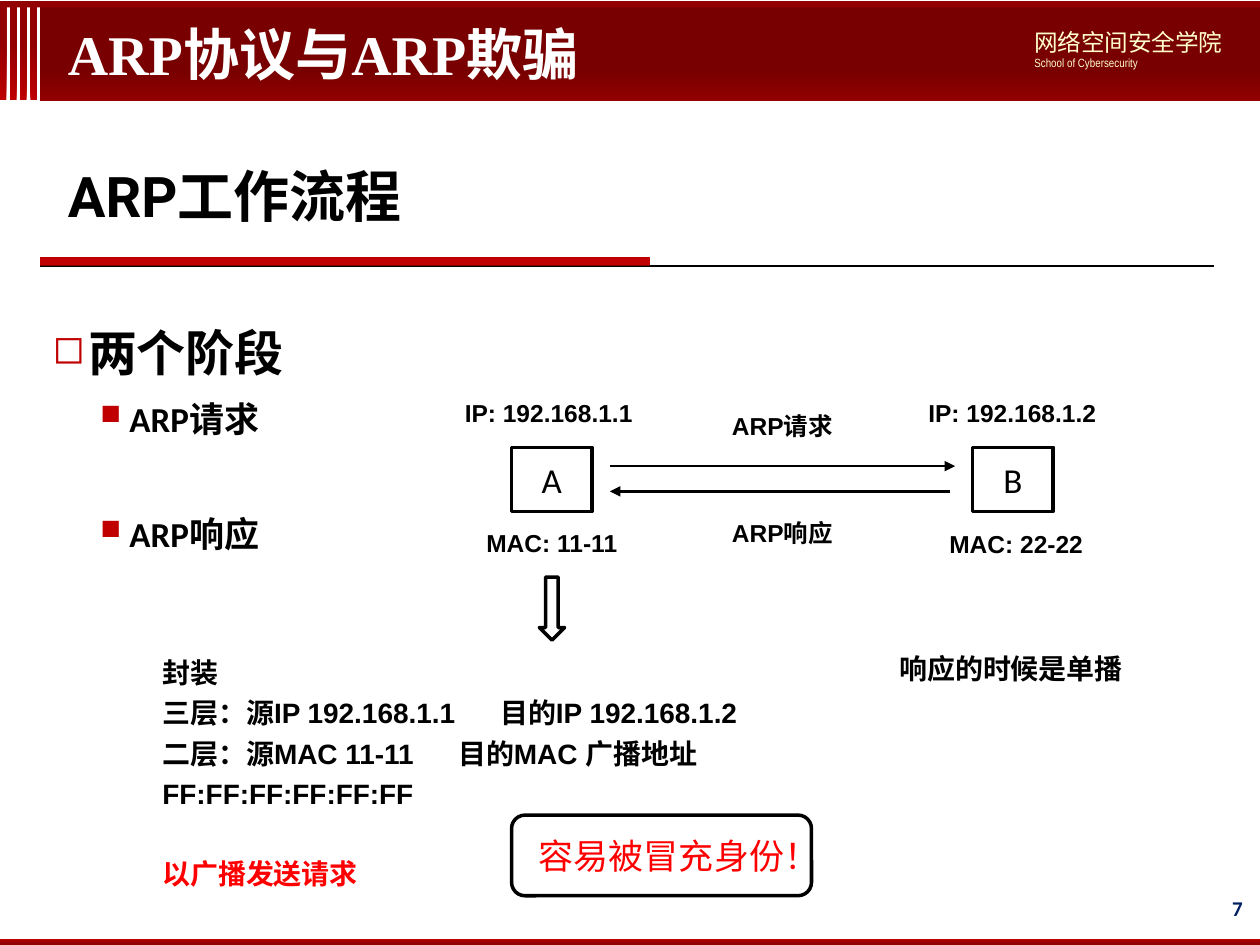
from lxml.etree import SubElement
from pptx import Presentation
from pptx.dml.color import RGBColor
from pptx.enum.shapes import MSO_CONNECTOR, MSO_SHAPE
from pptx.enum.text import MSO_ANCHOR, PP_ALIGN
from pptx.oxml.ns import qn
from pptx.util import Pt

BLACK = RGBColor(0x00, 0x00, 0x00)
WHITE = RGBColor(0xFF, 0xFF, 0xFF)
RED = RGBColor(0xFF, 0x00, 0x00)
CRIMSON = RGBColor(0xC0, 0x00, 0x00)
MAROON = RGBColor(0x92, 0x00, 0x00)
DARK_MAROON = RGBColor(0x78, 0x00, 0x00)
CREAM = RGBColor(0xFF, 0xFF, 0xCD)
NAVY = RGBColor(0x00, 0x20, 0x60)

CJK_FONT = "Noto Sans CJK SC"
LEFT, CENTER, RIGHT = PP_ALIGN.LEFT, PP_ALIGN.CENTER, PP_ALIGN.RIGHT


def add_bullet(paragraph, char, left, hanging):
    properties = paragraph._p.get_or_add_pPr()
    properties.set("marL", str(Pt(left)))
    properties.set("indent", str(-Pt(hanging)))
    color = SubElement(properties, qn("a:buClr"))
    SubElement(color, qn("a:srgbClr"), val=str(CRIMSON))
    SubElement(properties, qn("a:buSzPct"), val="80000")
    SubElement(properties, qn("a:buChar"), char=char)


def add_tab_stop(paragraph, position):
    tabs = SubElement(paragraph._p.get_or_add_pPr(), qn("a:tabLst"))
    SubElement(tabs, qn("a:tab"), pos=str(Pt(position)), algn="l")


def write(frame, text, size=14, font="Arial", color=BLACK, bold=True, align=LEFT,
          spacing=None, before=None, bullet=None, tab=None):
    """Write one paragraph, filling the empty first one before adding others."""
    first = frame.paragraphs[0]
    paragraph = frame.add_paragraph() if first.runs else first
    if bullet:
        add_bullet(paragraph, *bullet)
    if tab:
        add_tab_stop(paragraph, tab)
    paragraph.alignment = align
    if spacing:
        paragraph.line_spacing = spacing
    if before:
        paragraph.space_before = Pt(before)
    run = paragraph.add_run()
    run.text = text
    run.font.size = Pt(size)
    run.font.name = font
    run.font.bold = bold
    run.font.color.rgb = color
    SubElement(run.font._element, qn("a:ea"), typeface=CJK_FONT)


class SlideBuilder:
    line_width = 2
    connector_width = 1.5

    def __init__(self, slide):
        self.slide = slide

    def text_box(self, left, top, width, height, anchor=MSO_ANCHOR.TOP):
        box = self.slide.shapes.add_textbox(Pt(left), Pt(top), Pt(width), Pt(height))
        frame = box.text_frame
        frame.word_wrap = True
        frame.vertical_anchor = anchor
        return frame

    def shape(self, kind, left, top, width, height):
        shape = self.slide.shapes.add_shape(
            kind, Pt(left), Pt(top), Pt(width), Pt(height))
        shape.shadow.inherit = False
        return shape

    def bar(self, left, top, width, height, color):
        bar = self.shape(MSO_SHAPE.RECTANGLE, left, top, width, height)
        bar.fill.solid()
        bar.fill.fore_color.rgb = color
        bar.line.fill.background()

    def gradient_bar(self, left, top, width, height, stops, angle):
        """Angle is counter-clockwise; stops are (position, color) pairs."""
        bar = self.shape(MSO_SHAPE.RECTANGLE, left, top, width, height)
        bar.fill.gradient()
        bar.fill.gradient_angle = angle
        for stop, (position, color) in zip(bar.fill.gradient_stops, stops):
            stop.position = position
            stop.color.rgb = color
        bar.line.fill.background()

    def outline(self, kind, left, top, width, height):
        shape = self.shape(kind, left, top, width, height)
        shape.fill.background()
        shape.line.color.rgb = BLACK
        shape.line.width = Pt(self.line_width)
        shape.text_frame.word_wrap = True
        shape.text_frame.vertical_anchor = MSO_ANCHOR.MIDDLE
        return shape.text_frame

    def connector(self, start_x, end_x, y, arrow=False):
        connector = self.slide.shapes.add_connector(
            MSO_CONNECTOR.STRAIGHT, Pt(start_x), Pt(y), Pt(end_x), Pt(y))
        connector.line.color.rgb = BLACK
        connector.line.width = Pt(self.connector_width)
        if arrow:
            SubElement(connector.line._get_or_add_ln(), qn("a:tailEnd"), type="triangle")
        SubElement(connector._element.spPr, qn("a:effectLst"))


def add_frame(builder):
    for index in range(4):
        builder.gradient_bar(index * 5.76, 3.6, 3.6, 53.5,
                             [(0, CRIMSON), (0.62, MAROON)], 45)
    builder.gradient_bar(23, 4, 697, 53.5, [(0, MAROON), (0.32, DARK_MAROON)], 90)
    builder.gradient_bar(0, 536.4, 720, 3.6, [(0.1, CRIMSON), (0.54, MAROON)], 270)
    builder.bar(0, 0.7, 720, 3.6, MAROON)

    title = builder.text_box(31.7, 3.6, 487.4, 53.3, MSO_ANCHOR.MIDDLE)
    write(title, "ARP协议与ARP欺骗", size=32, font="Times New Roman", color=WHITE)
    school = builder.text_box(584, 12.2, 130.3, 31.7)
    write(school, "网络空间安全学院", size=13.5, font=CJK_FONT, color=CREAM, bold=False)
    write(school, "School of Cybersecurity", size=6.8, font="Arial Narrow",
          color=CREAM, bold=False)
    number = builder.text_box(549.4, 504.7, 167.8, 28.8, MSO_ANCHOR.MIDDLE)
    write(number, "7", size=12, font="Calibri", color=NAVY, align=RIGHT)

    subtitle = builder.text_box(31.7, 88.6, 661.7, 54)
    write(subtitle, "ARP工作流程", size=32, font="Roboto")
    builder.connector(23, 694, 152)
    builder.bar(23, 146.9, 348.5, 5, CRIMSON)


def add_stages(builder):
    stages = builder.text_box(23, 174.2, 670.3, 330.5)
    write(stages, "两个阶段", size=28, font="Calibri", spacing=1.2,
          bullet=("◻", 20.2, 20.2))
    for text, before in (("ARP请求", 4), ("ARP响应", 37)):
        write(stages, text, size=20, font="Calibri", spacing=1.2, before=before,
              bullet=("■", 43.9, 16.6))


def add_exchange(builder):
    for name, left in (("A", 292.3), ("B", 555.8)):
        host = builder.outline(MSO_SHAPE.RECTANGLE, left, 255.6, 46.1, 36.7)
        write(host, name, size=20, font="Calibri", bold=False, align=CENTER)

    labels = [
        ("IP: 192.168.1.1", 258.5, 223.9, 113.8, LEFT),
        ("IP: 192.168.1.2", 523.4, 223.9, 113.8, LEFT),
        ("MAC: 11-11", 270.7, 298.1, 89.3, CENTER),
        ("MAC: 22-22", 535, 298.8, 91.4, CENTER),
        ("ARP请求", 402.5, 231.1, 89.3, CENTER),
        ("ARP响应", 402.5, 292.3, 89.3, CENTER),
    ]
    for text, left, top, width, align in labels:
        write(builder.text_box(left, top, width, 24.5), text, align=align)

    builder.connector(348.5, 545.8, 266.4, arrow=True)
    builder.connector(542.9, 348.5, 280.8, arrow=True)


def add_notes(builder):
    packet = builder.text_box(85.7, 367.2, 464.4, 121)
    write(packet, "封装", size=16, spacing=1.2)
    write(packet, "三层：源IP 192.168.1.1\t目的IP 192.168.1.2", size=16, spacing=1.2,
          tab=193)
    write(packet, "二层：源MAC 11-11\t目的MAC 广播地址 FF:FF:FF:FF:FF:FF", size=16,
          spacing=1.2, tab=169)
    write(packet, "以广播发送请求", size=16, color=RED, spacing=1.2, before=23)

    warning = builder.outline(MSO_SHAPE.ROUNDED_RECTANGLE, 292.3, 465.8, 171.4, 46.1)
    write(warning, "容易被冒充身份！", size=20, font=CJK_FONT, color=RED, bold=False,
          align=CENTER)
    builder.outline(MSO_SHAPE.DOWN_ARROW, 308.2, 329.8, 14.4, 36)
    reply = builder.text_box(506.9, 365, 144, 28)
    write(reply, "响应的时候是单播", size=16, spacing=1.2)


def main():
    presentation = Presentation()
    presentation.slide_width, presentation.slide_height = Pt(720), Pt(540)
    builder = SlideBuilder(presentation.slides.add_slide(presentation.slide_layouts[6]))
    add_frame(builder)
    add_stages(builder)
    add_exchange(builder)
    add_notes(builder)
    presentation.save("out.pptx")


if __name__ == "__main__":
    main()
